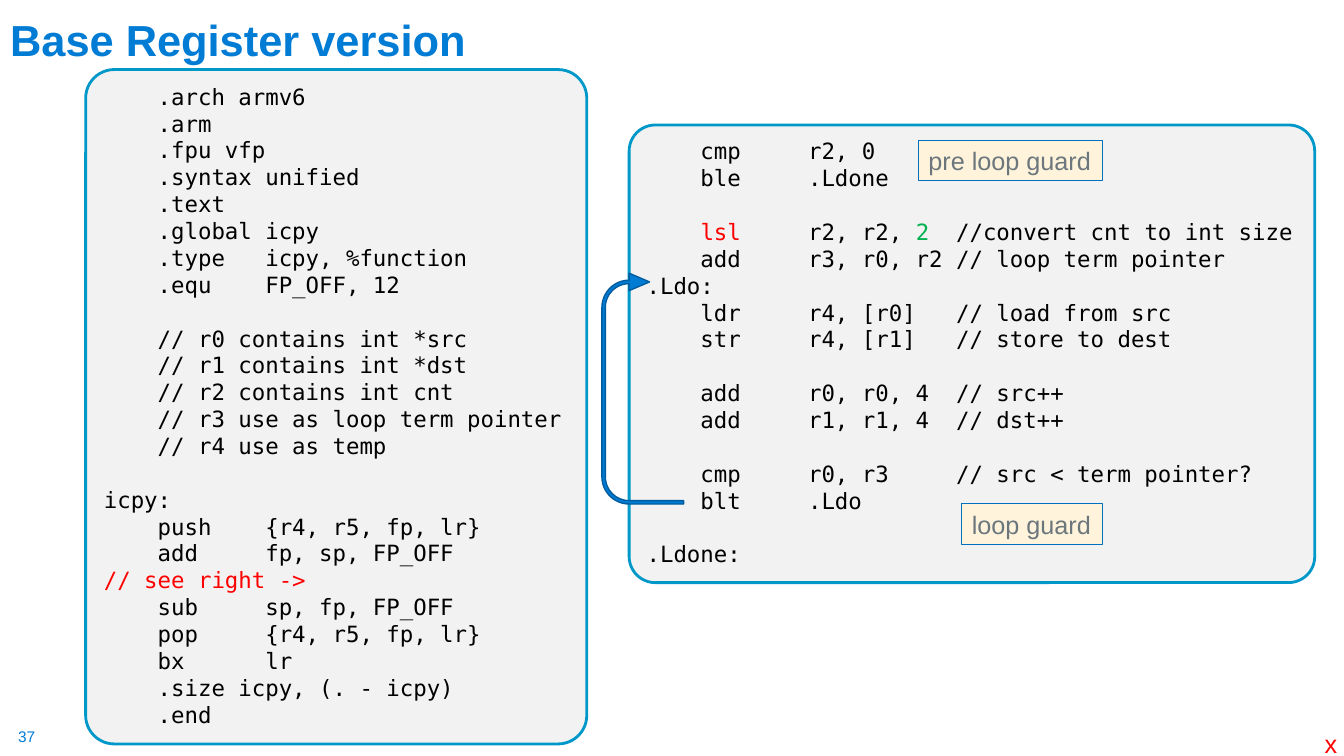
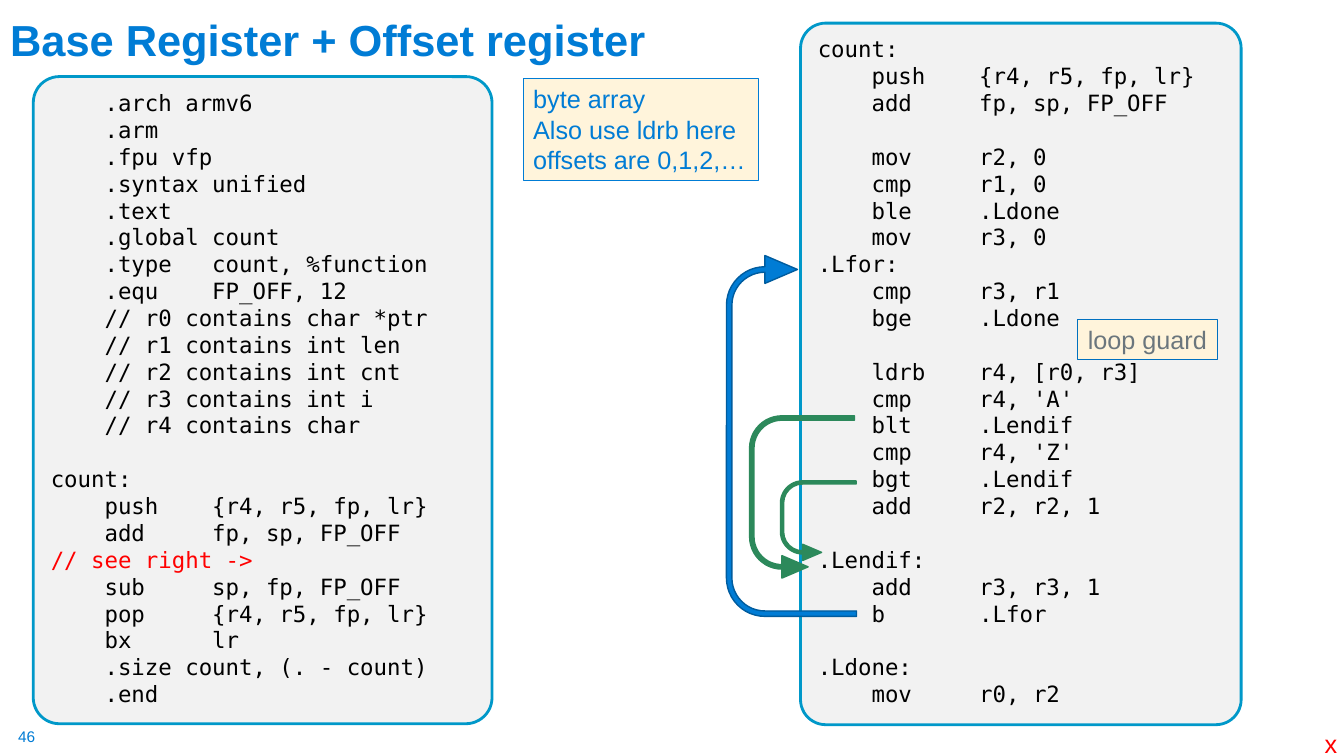
from dataclasses import dataclass, field
from typing import Any

from pptx import Presentation
from pptx.dml.color import RGBColor
from pptx.enum.shapes import MSO_SHAPE as Preset
from pptx.enum.text import MSO_ANCHOR as Anchor, MSO_AUTO_SIZE as AutoSize, PP_ALIGN as Align
from pptx.util import Inches, Pt

# Shared look
COLORS = {
    "blue": "007CD5", "edge": "005C9E", "teal": "0098C9", "note_edge": "0070C0",
    "green": "2C895B", "digit": "00B050", "red": "FF0000", "black": "000000",
    "gray": "6B767D", "panel": "F2F2F2", "cream": "FFF4DB",
}
TITLE = {"name": "Arial", "size": Pt(31), "bold": True}
CODE = {"name": "DejaVu Sans Mono", "size": Pt(16)}
NOTE = {"name": "Arial", "size": Pt(18)}
NUMBER = {"name": "Arial", "size": Pt(11)}
CODE_PITCH = Pt(19.2)
TITLE_ONLY = 5

Frame = tuple[float, float, float, float]  # left, top, width, height in inches


@dataclass
class Panel:
    frame: Frame
    code: str
    tints: dict[str, str] = field(default_factory=dict)  # fragment -> color


@dataclass
class LoopArrow:
    frame: Frame  # before the quarter turn
    reach: float
    color: str = "blue"
    edge: str = "edge"
    flipped: bool = False


@dataclass
class Note:
    frame: Frame
    text: str = "loop guard"
    color: str = "gray"
    edge: str = "note_edge"


@dataclass
class Page:
    number: int
    title: str
    panels: list[Panel]
    arrows: list[LoopArrow]
    notes: list[Note]


def rgb(name: str) -> RGBColor:
    return RGBColor.from_string(COLORS[name])


def place(frame: Frame) -> list[int]:
    return [Inches(value) for value in frame]


def style_font(font: Any, values: dict[str, Any], color: str) -> None:
    for name, value in values.items():
        setattr(font, name, value)
    font.color.rgb = rgb(color)


def add_span(para: Any, text: str, values: dict[str, Any], color: str) -> None:
    span = para.add_run()
    span.text = text
    style_font(span.font, values, color)


def set_frame(text_frame: Any, **values: Any) -> None:
    settings = {"word_wrap": True, "auto_size": AutoSize.NONE, "vertical_anchor": Anchor.TOP}
    for name, value in (settings | values).items():
        setattr(text_frame, name, value)


def fill_text(text_frame: Any, text: str, values: dict[str, Any], color: str) -> None:
    for index, line in enumerate(text.split("\n")):
        para = text_frame.add_paragraph() if index else text_frame.paragraphs[0]
        para.alignment = Align.LEFT
        add_span(para, line, values, color)


def add_box(slide: Any, preset: Any, frame: Frame, fill: str, edge: str, weight: float) -> Any:
    box = slide.shapes.add_shape(preset, *place(frame))
    box.shadow.inherit = False
    box.fill.solid()
    box.fill.fore_color.rgb = rgb(fill)
    box.line.color.rgb = rgb(edge)
    box.line.width = Pt(weight)
    return box


def split_tints(line: str, tints: dict[str, str]) -> list[tuple[str, str]]:
    spans = [(line, "black")]
    for fragment, color in tints.items():
        text, base = spans[-1]
        before, found, after = text.partition(fragment)
        if found:
            spans[-1:] = [(before, base), (found, color), (after, base)]
    return [span for span in spans if span[0]]


def add_panel(slide: Any, panel: Panel) -> None:
    box = add_box(slide, Preset.ROUNDED_RECTANGLE, panel.frame, "panel", "teal", 2)
    box.adjustments[0] = 0.057
    set_frame(box.text_frame)
    para, gap = box.text_frame.paragraphs[0], 0
    for index, line in enumerate(panel.code.split("\n")):
        if not line:  # an empty code line becomes space before the next one
            gap += CODE_PITCH
            continue
        if index:
            para = box.text_frame.add_paragraph()
        para.alignment = Align.LEFT
        para.line_spacing = CODE_PITCH
        if gap:
            para.space_before = gap
        gap = 0
        for text, color in split_tints(line, panel.tints):
            add_span(para, text, CODE, color)


def add_loop_arrow(slide: Any, arrow: LoopArrow) -> None:
    shape = add_box(slide, Preset.U_TURN_ARROW, arrow.frame, arrow.color, arrow.edge, 1)
    for index, value in enumerate((0.042, 0.107, 0.25, 0.438, arrow.reach)):
        shape.adjustments[index] = value
    shape.rotation = 270
    if arrow.flipped:
        shape.element.spPr.xfrm.set("flipH", "1")


def add_note(slide: Any, note: Note) -> None:
    box = add_box(slide, Preset.RECTANGLE, note.frame, "cream", note.edge, 0.75)
    set_frame(box.text_frame, word_wrap=False)
    fill_text(box.text_frame, note.text, NOTE, note.color)


def add_label(slide: Any, frame: Frame, text: str, values: dict[str, Any],
              color: str, inset: bool = True) -> None:
    box = slide.shapes.add_textbox(*place(frame))
    margins = {} if inset else {f"margin_{side}": 0 for side in ("left", "top", "right", "bottom")}
    set_frame(box.text_frame, word_wrap=False, **margins)
    fill_text(box.text_frame, text, values, color)


def add_title(slide: Any, text: str) -> None:
    title = slide.shapes.title
    title.left, title.top, title.width, title.height = place((0, -0.08, 7.43, 0.78))
    set_frame(title.text_frame, vertical_anchor=Anchor.BOTTOM)
    fill_text(title.text_frame, text, TITLE, "blue")
    title.text_frame.paragraphs[0].line_spacing = 0.9


def add_page(deck: Any, page: Page) -> None:
    slide = deck.slides.add_slide(deck.slide_layouts[TITLE_ONLY])
    add_title(slide, page.title)
    add_label(slide, (0.18, 7.21, 0.19, 0.19), str(page.number), NUMBER, "blue", inset=False)
    add_label(slide, (13.04, 7.18, 0.33, 0.4), "x", NOTE, "red")
    for panel in page.panels:
        add_panel(slide, panel)
    for arrow in page.arrows:
        add_loop_arrow(slide, arrow)
    for note in page.notes:
        add_note(slide, note)


def outer_code(name: str, comments: str) -> str:
    """Wrap the register comments in the frame both functions use."""
    return f"""    .arch armv6
    .arm
    .fpu vfp
    .syntax unified
    .text
    .global {name}
    .type   {name}, %function
    .equ    FP_OFF, 12
{comments}

{name}:
    push    {{r4, r5, fp, lr}}
    add     fp, sp, FP_OFF
{SEE_RIGHT}
    sub     sp, fp, FP_OFF
    pop     {{r4, r5, fp, lr}}
    bx      lr
    .size {name}, (. - {name})
    .end"""


# Code on the slides
SEE_RIGHT = "// see right ->"
ICPY_COMMENTS = """
    // r0 contains int *src
    // r1 contains int *dst
    // r2 contains int cnt
    // r3 use as loop term pointer
    // r4 use as temp"""
ICPY_LOOP = """    cmp     r2, 0
    ble     .Ldone

    lsl     r2, r2, 2  //convert cnt to int size
    add     r3, r0, r2 // loop term pointer
.Ldo:
    ldr     r4, [r0]   // load from src
    str     r4, [r1]   // store to dest

    add     r0, r0, 4  // src++
    add     r1, r1, 4  // dst++

    cmp     r0, r3     // src < term pointer?
    blt     .Ldo

.Ldone:"""
COUNT_COMMENTS = """    // r0 contains char *ptr
    // r1 contains int len
    // r2 contains int cnt
    // r3 contains int i
    // r4 contains char"""
COUNT_LOOP = """count:
    push    {r4, r5, fp, lr}
    add     fp, sp, FP_OFF

    mov     r2, 0
    cmp     r1, 0
    ble     .Ldone
    mov     r3, 0
.Lfor:
    cmp     r3, r1
    bge     .Ldone

    ldrb    r4, [r0, r3]
    cmp     r4, 'A'
    blt     .Lendif
    cmp     r4, 'Z'
    bgt     .Lendif
    add     r2, r2, 1

.Lendif:
    add     r3, r3, 1
    b       .Lfor

.Ldone:
    mov     r0, r2"""

PAGES = [
    Page(
        37, "Base Register version",
        panels=[
            Panel((0.85, 0.69, 4.97, 6.69), outer_code("icpy", ICPY_COMMENTS), {SEE_RIGHT: "red"}),
            Panel((6.24, 1.24, 6.8, 4.54), ICPY_LOOP, {"lsl": "red", " 2 ": "digit"}),
        ],
        arrows=[LoopArrow((5.23, 3.45, 2.29, 0.81), 0.583)],
        notes=[Note((9.54, 5, 1.39, 0.4)), Note((9.11, 1.39, 1.83, 0.4), "pre loop guard")],
    ),
    Page(
        46, "Base Register + Offset register",
        panels=[
            Panel((0.33, 0.76, 4.55, 6.42), outer_code("count", COUNT_COMMENTS), {SEE_RIGHT: "red"}),
            Panel((7.94, 0.23, 4.37, 6.96), COUNT_LOOP),
        ],
        arrows=[
            LoopArrow((6.06, 3.68, 3.58, 1.29), 0.546),
            LoopArrow((7.15, 4.41, 1.61, 1.04), 0.558, "green", "green", flipped=True),
            LoopArrow((7.72, 4.79, 0.79, 0.75), 0.544, "green", "green", flipped=True),
        ],
        notes=[
            Note((10.69, 3.17, 1.39, 0.4)),
            Note((5.19, 0.78, 2.33, 1.01),
                 "byte array\nAlso use ldrb here\noffsets are 0,1,2,…", "blue", "blue"),
        ],
    ),
]


def main() -> None:
    deck = Presentation()
    deck.slide_width, deck.slide_height = Inches(13.33), Inches(7.5)
    for page in PAGES:
        add_page(deck, page)
    deck.save("out.pptx")


if __name__ == "__main__":
    main()
